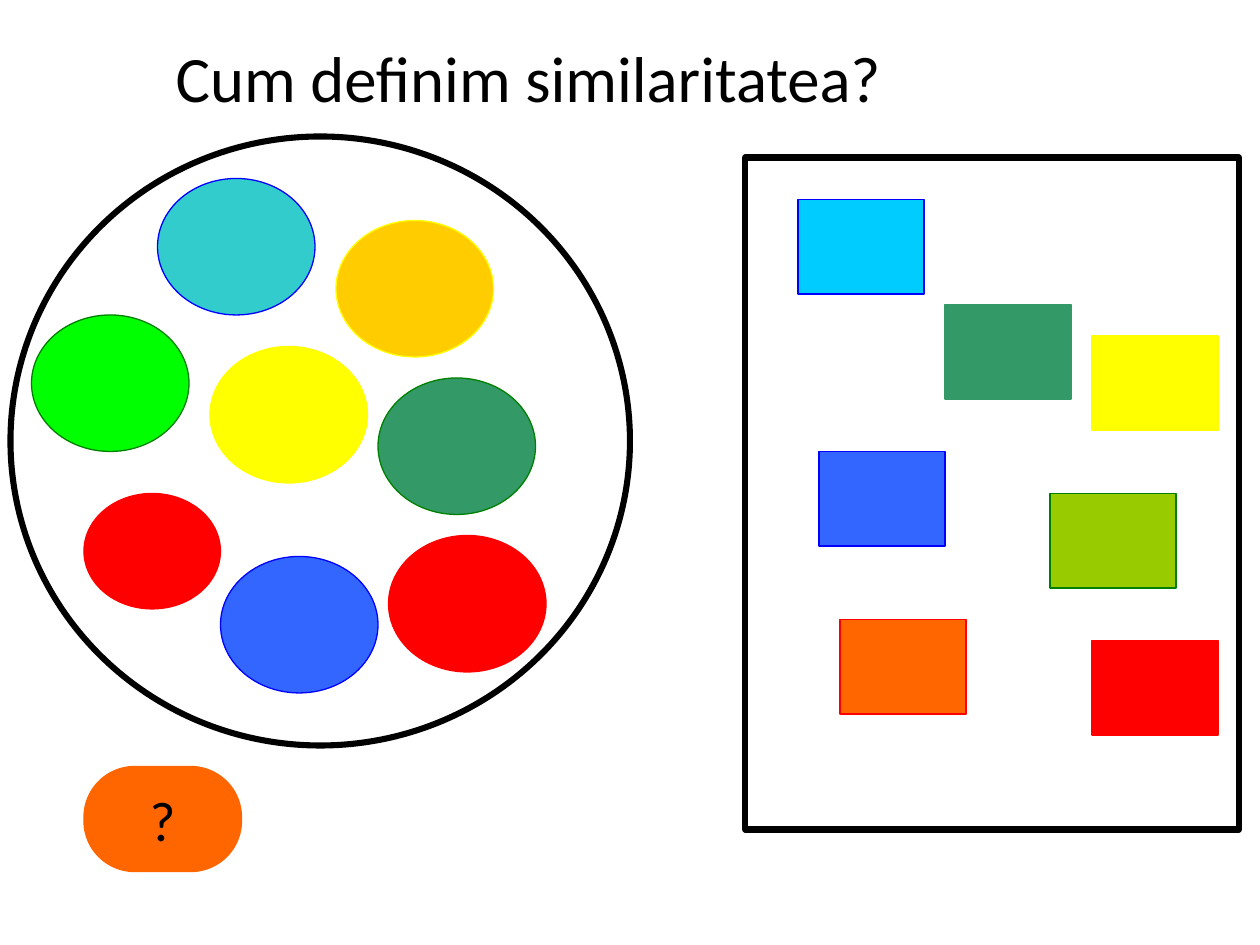
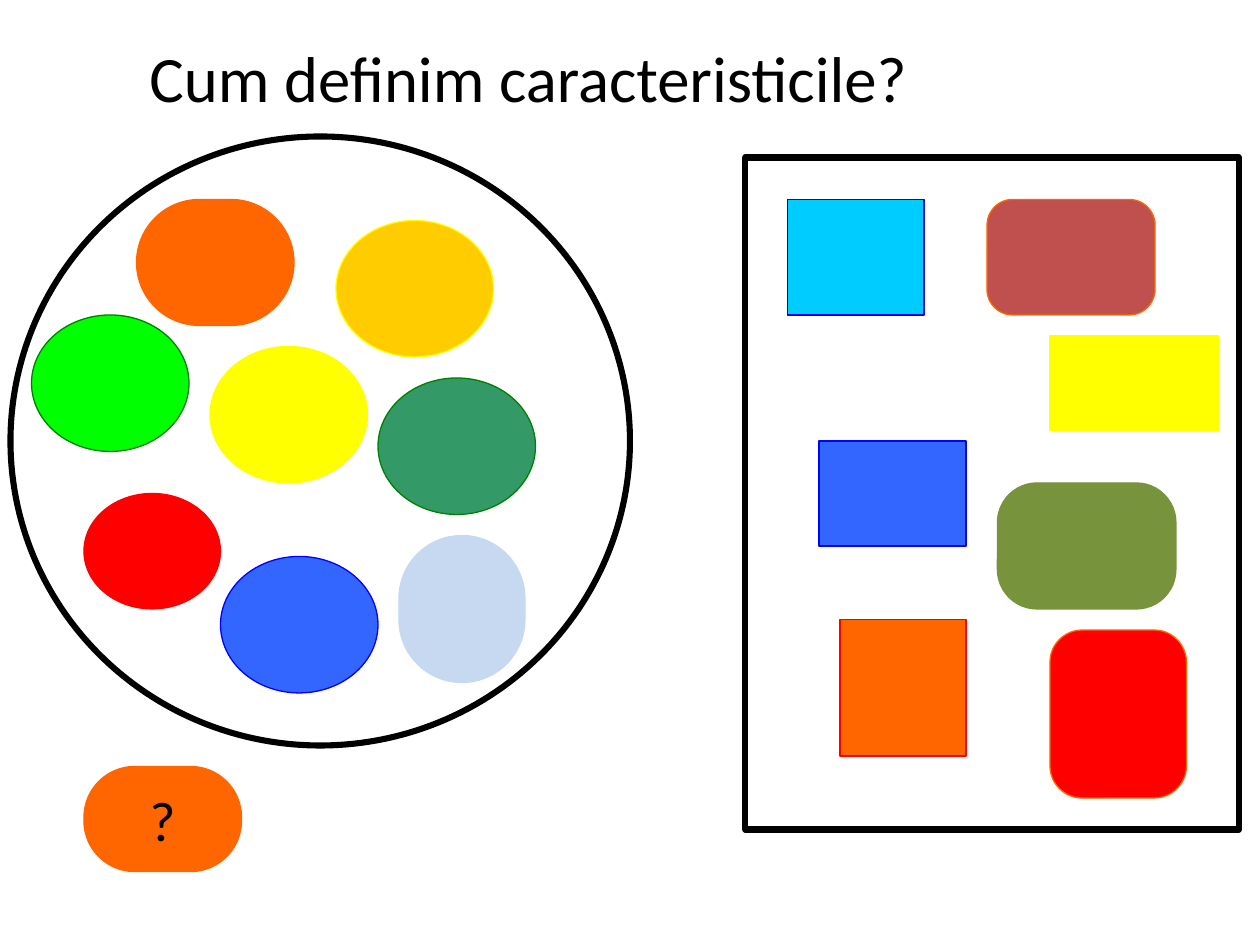
from pptx import Presentation
from pptx.dml.color import RGBColor
from pptx.enum.shapes import MSO_SHAPE
from pptx.enum.text import MSO_ANCHOR, PP_ALIGN
from pptx.util import Pt

RECT = MSO_SHAPE.RECTANGLE
ROUNDED = MSO_SHAPE.ROUNDED_RECTANGLE
OVAL = MSO_SHAPE.OVAL
MIDDLE = MSO_ANCHOR.MIDDLE
CENTER = PP_ALIGN.CENTER

BLACK = RGBColor(0x00, 0x00, 0x00)
YELLOW = RGBColor(0xFF, 0xFF, 0x00)
GOLD = RGBColor(0xFF, 0xCC, 0x00)
ORANGE = RGBColor(0xFF, 0x66, 0x00)
RED = RGBColor(0xFF, 0x00, 0x00)
BRICK = RGBColor(0xC0, 0x50, 0x4D)
SKY = RGBColor(0x00, 0xCC, 0xFF)
TURQUOISE = RGBColor(0x33, 0xCC, 0xCC)
BLUE = RGBColor(0x33, 0x66, 0xFF)
DEEP_BLUE = RGBColor(0x00, 0x00, 0xFF)
PALE_BLUE = RGBColor(0xC6, 0xD9, 0xF1)
LIME = RGBColor(0x00, 0xFF, 0x00)
DARK_GREEN = RGBColor(0x00, 0x80, 0x00)
SEA_GREEN = RGBColor(0x33, 0x99, 0x66)
LEAF = RGBColor(0x99, 0xCC, 0x00)
OLIVE = RGBColor(0x77, 0x93, 0x3C)

FONT = "Calibri"
GRID = 6  # points; every figure sits on this grid
THIN, THICK = 0.75, 3.5

# Figures: kind, (left, top, width, height) in grid units, fill, line[, corner]
SHARED_OVALS = [
    (OVAL, (3, 30, 15, 13), LIME, DARK_GREEN),
    (OVAL, (36, 36, 15, 13), SEA_GREEN, DARK_GREEN),
    (OVAL, (32, 21, 15, 13), GOLD, YELLOW),
    (OVAL, (20, 33, 15, 13), YELLOW, YELLOW),
    (OVAL, (8, 47, 13, 11), RED, RED),
    (OVAL, (21, 53, 15, 13), BLUE, DEEP_BLUE),
]
CIRCLE_GROUP = (1, 13, 59, 58)
SQUARE_GROUP = (71, 15, 47, 64)
UNKNOWN = (ROUNDED, (8, 73, 15, 10), ORANGE, ORANGE, 0.483)

SLIDES = [
    ("Cum definim similaritatea? ", [
        (RECT, (104, 32, 12, 9), YELLOW, YELLOW),
        (RECT, (76, 19, 12, 9), SKY, DEEP_BLUE),
        (RECT, (78, 43, 12, 9), BLUE, DEEP_BLUE),
        (RECT, (104, 61, 12, 9), RED, RED),
        (RECT, (80, 59, 12, 9), ORANGE, RED),
        (RECT, (90, 29, 12, 9), SEA_GREEN, SEA_GREEN),
        (RECT, (100, 47, 12, 9), LEAF, DARK_GREEN),
        (OVAL, (15, 17, 15, 13), TURQUOISE, DEEP_BLUE),
        (OVAL, (37, 51, 15, 13), RED, RED),
    ]),
    ("Cum definim caracteristicile? ", [
        (RECT, (100, 32, 16, 9), YELLOW, YELLOW),
        (RECT, (75, 19, 13, 11), SKY, DEEP_BLUE),
        (RECT, (78, 42, 14, 10), BLUE, DEEP_BLUE),
        (RECT, (80, 59, 12, 13), ORANGE, RED),
        (ROUNDED, (94, 19, 16, 11), BRICK, ORANGE, 0.222),
        (ROUNDED, (13, 19, 15, 12), ORANGE, ORANGE, 0.5),
        (ROUNDED, (95, 46, 17, 12), OLIVE, OLIVE, 0.314),
        (ROUNDED, (100, 60, 13, 16), RED, ORANGE, 0.236),
        (ROUNDED, (38, 51, 12, 14), PALE_BLUE, PALE_BLUE, 0.5),
    ]),
]


def write(sp, text, size, wrap=True):
    tf = sp.text_frame
    tf.word_wrap = wrap
    tf.vertical_anchor = MIDDLE
    p = tf.paragraphs[0]
    p.alignment = CENTER
    r = p.add_run()
    r.text = text
    r.font.name = FONT
    r.font.size = Pt(size)
    r.font.color.rgb = BLACK


def add_figure(s, kind, cells, fill, line, corner=None, weight=THIN):
    sp = s.shapes.add_shape(kind, *(Pt(n * GRID) for n in cells))
    sp.shadow.inherit = False
    if fill is None:
        sp.fill.background()
    else:
        sp.fill.solid()
        sp.fill.fore_color.rgb = fill
    sp.line.color.rgb = line
    sp.line.width = Pt(weight)
    if corner is not None:
        sp.adjustments[0] = corner
    return sp


def add_slide(prs, title, figures):
    s = prs.slides.add_slide(prs.slide_layouts[6])
    box = s.shapes.add_textbox(Pt(36), Pt(21.6), Pt(540), Pt(44.6))
    write(box, title, 37)
    for figure in SHARED_OVALS + figures:
        add_figure(s, *figure)
    add_figure(s, OVAL, CIRCLE_GROUP, None, BLACK, weight=THICK)
    add_figure(s, RECT, SQUARE_GROUP, None, BLACK, weight=THICK)
    write(add_figure(s, *UNKNOWN), "?", 32, wrap=False)


def main():
    prs = Presentation()
    prs.slide_width, prs.slide_height = Pt(720), Pt(540)
    for title, figures in SLIDES:
        add_slide(prs, title, figures)
    prs.save("out.pptx")


if __name__ == "__main__":
    main()
